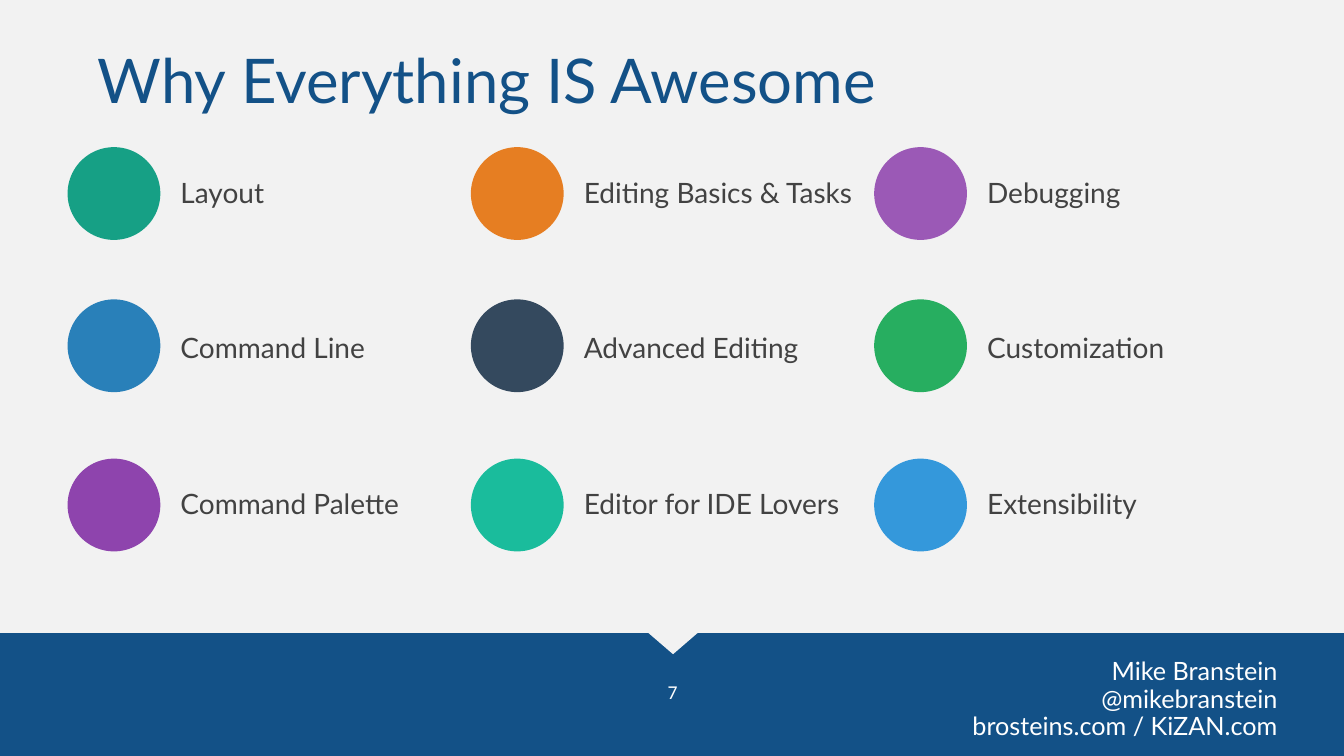
from pptx import Presentation
from pptx.dml.color import RGBColor
from pptx.enum.shapes import MSO_SHAPE
from pptx.enum.text import MSO_ANCHOR, PP_ALIGN
from pptx.util import Inches, Pt

RECT, OVAL, TRIANGLE = MSO_SHAPE.RECTANGLE, MSO_SHAPE.OVAL, MSO_SHAPE.ISOSCELES_TRIANGLE
LEFT, CENTER, RIGHT = PP_ALIGN.LEFT, PP_ALIGN.CENTER, PP_ALIGN.RIGHT
TOP, MIDDLE = MSO_ANCHOR.TOP, MSO_ANCHOR.MIDDLE

COLORS = {
    "paper": "F2F2F2", "navy": "135187", "text": "424242", "white": "FFFFFF",
    "sea": "16A085", "orange": "E67E22", "amethyst": "9B59B6",
    "blue": "2980B9", "slate": "34495E", "green": "27AE60",
    "purple": "8E44AD", "turquoise": "1ABC9C", "sky": "3498DB",
}

TOPICS = [
    [("Layout", "sea"), ("Editing Basics & Tasks", "orange"), ("Debugging", "amethyst")],
    [("Command Line", "blue"), ("Advanced Editing", "slate"), ("Customization", "green")],
    [("Command Palette", "purple"), ("Editor for IDE Lovers", "turquoise"),
     ("Extensibility", "sky")],
]
CIRCLE_TOPS = [1.46, 2.97, 4.55]
CIRCLE_SIZE = 0.92
GRID_LEFT, COLUMN_STEP = 0.67, 4
LABEL_OFFSET, LABEL_TOP, LABEL_STEP = 1.12, 1.73, 1.54
CONTACT = ["Mike Branstein", "@mikebranstein", "brosteins.com / KiZAN.com"]


def rgb(name):
    return RGBColor.from_string(COLORS[name])


class Deck:
    """Holds the presentation, its text style and the current slide."""

    def __init__(self, font="Lato", line_spacing=0.9):
        self.font, self.line_spacing = font, line_spacing
        self.prs = Presentation()
        self.prs.slide_width, self.prs.slide_height = Inches(13.33), Inches(7.5)

    def add_slide(self, background):
        self.s = self.prs.slides.add_slide(self.prs.slide_layouts[6])
        fill = self.s.background.fill
        fill.solid()
        fill.fore_color.rgb = rgb(background)

    def shape(self, kind, x, y, w, h, color, rotation=0):
        sp = self.s.shapes.add_shape(kind, Inches(x), Inches(y), Inches(w), Inches(h))
        sp.shadow.inherit = False
        sp.fill.solid()
        sp.fill.fore_color.rgb = rgb(color)
        sp.line.fill.background()
        sp.rotation = rotation

    def text(self, lines, x, y, w, h, size, color, align=LEFT, anchor=TOP,
             side_inset=0.1, font=None):
        sp = self.s.shapes.add_textbox(Inches(x), Inches(y), Inches(w), Inches(h))
        tf = sp.text_frame
        tf.word_wrap = True
        tf.vertical_anchor = anchor
        tf.margin_left = tf.margin_right = Inches(side_inset)
        for i, line in enumerate(lines):
            p = tf.add_paragraph() if i else tf.paragraphs[0]
            p.alignment = align
            p.line_spacing = self.line_spacing
            r = p.add_run()
            r.text = line
            r.font.name = font or self.font
            r.font.size = Pt(size)
            r.font.color.rgb = rgb(color)


def main():
    deck = Deck()
    deck.add_slide("paper")

    deck.shape(RECT, 0, 6.28, 13.33, 1.22, "navy")
    deck.shape(TRIANGLE, 6.42, 6.27, 0.51, 0.22, "paper", rotation=180)
    deck.text(CONTACT, 9.33, 6.49, 3.44, 0.92, 18, "white", align=RIGHT)
    deck.text(["7"], 6.4, 6.61, 0.54, 0.54, 14, "white", align=CENTER,
              anchor=MIDDLE, font="Calibri")
    deck.text(["Why Everything IS Awesome"], 0.67, 0.4, 11.92, 0.85, 44, "navy",
              anchor=MIDDLE, side_inset=0.3)

    for row, topics in enumerate(TOPICS):
        for col, (label, color) in enumerate(topics):
            x = GRID_LEFT + col * COLUMN_STEP
            deck.shape(OVAL, x, CIRCLE_TOPS[row], CIRCLE_SIZE, CIRCLE_SIZE, color)
            deck.text([label], x + LABEL_OFFSET, LABEL_TOP + row * LABEL_STEP,
                      2.79, 0.35, 20, "text", side_inset=0)

    deck.prs.save("out.pptx")


if __name__ == "__main__":
    main()
